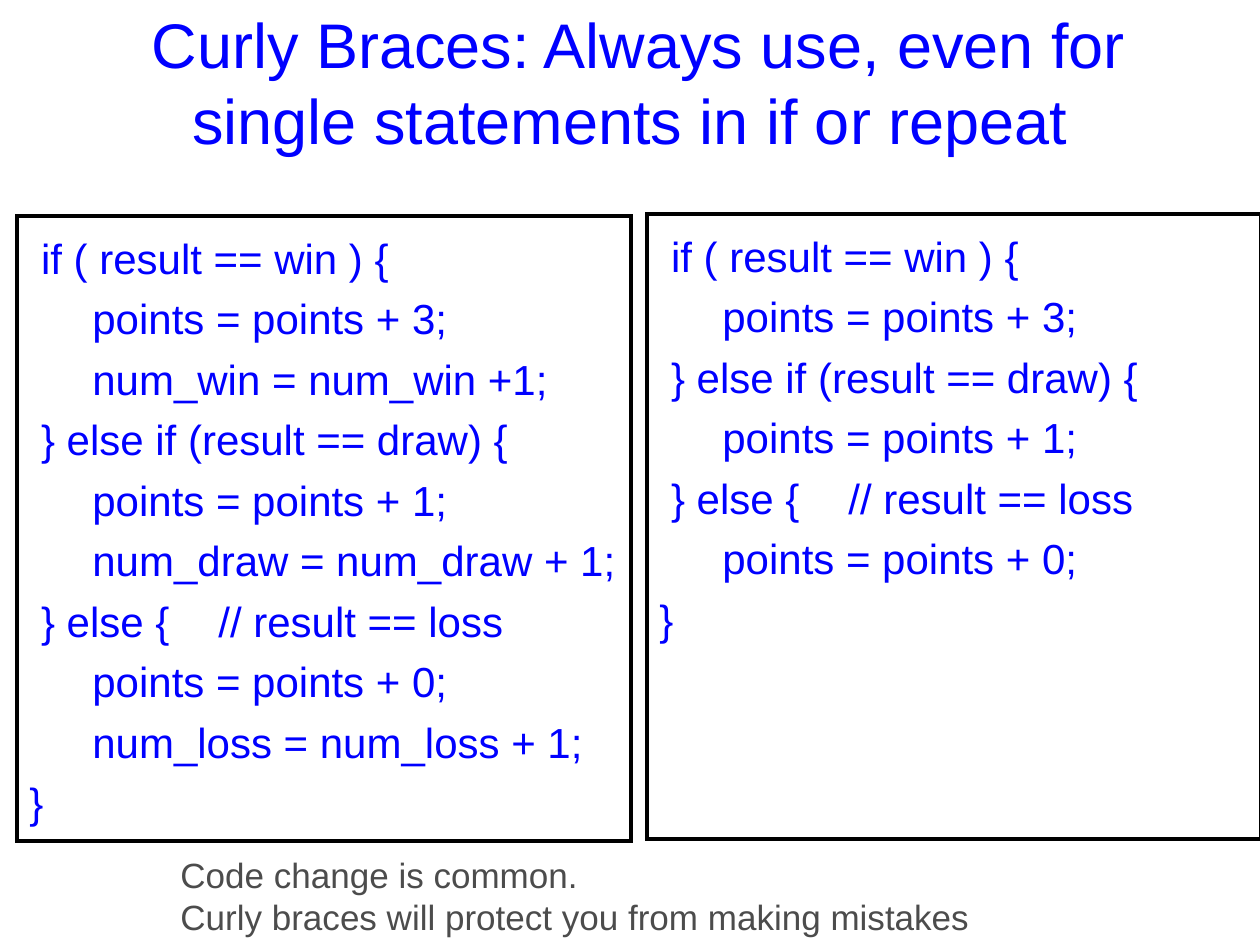
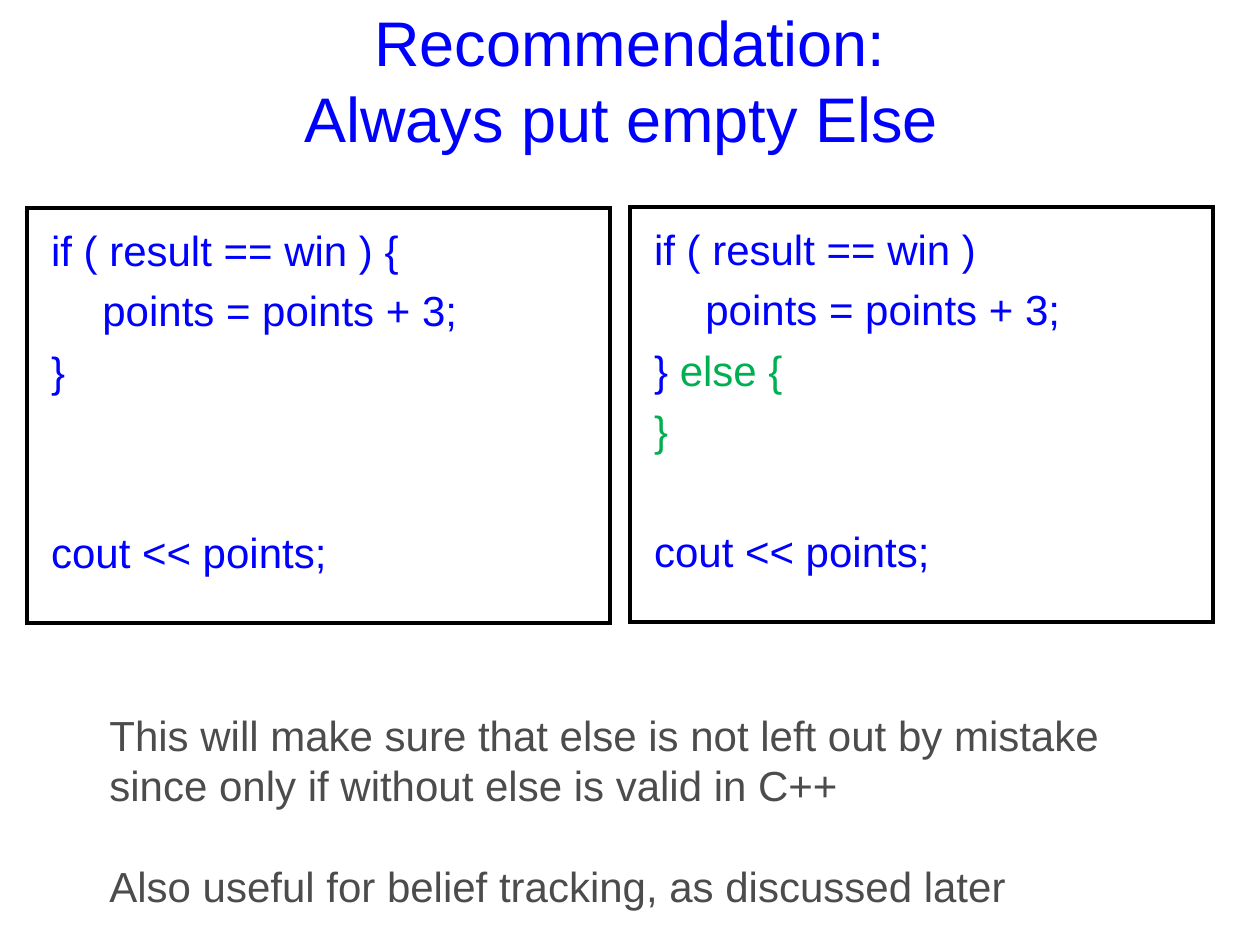
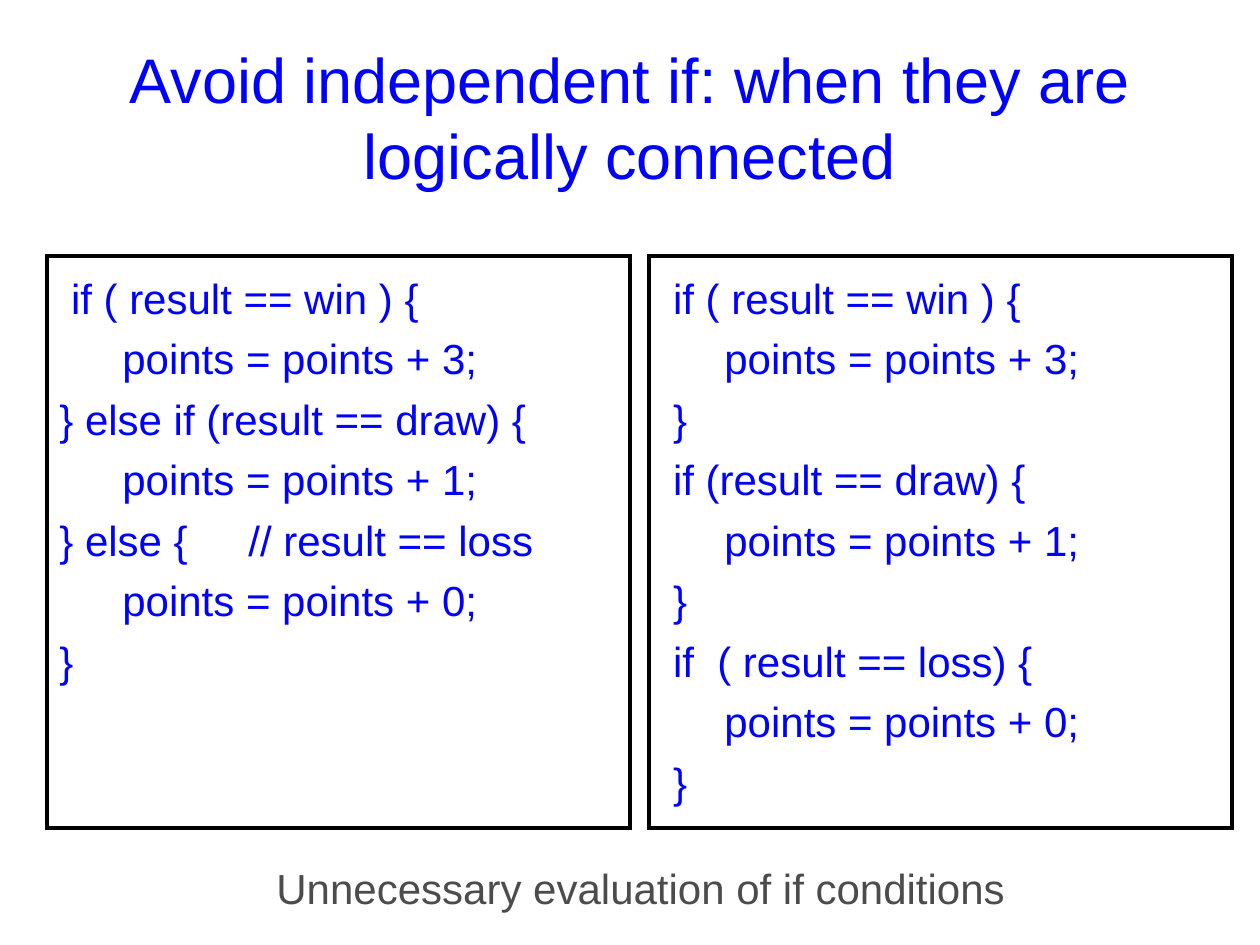
from lxml import etree
from pptx import Presentation
from pptx import util as u
from pptx.dml.color import RGBColor
from pptx.enum import shapes, text
from pptx.oxml import ns

PX_PER_INCH = 126
FONT = "Arial"
BLUE = RGBColor(0x00, 0x00, 0xFF)
GREEN = RGBColor(0x00, 0xB0, 0x50)
GREY = RGBColor(0x4C, 0x4C, 0x4C)
BLACK = RGBColor(0x00, 0x00, 0x00)

TITLE_SIZE = 36
CODE_SIZE = 24
CODE_SPACING = 1.2
LINE_RATIO = 1.2  # height of a single-spaced line over its font size
TAB_COUNT = 7

WIN = [" if ( result == win ) {", "\tpoints = points + 3;"]
DRAW = "\tpoints = points + 1;"
LOSS = "\tpoints = points + 0;"


def px(length):
    return u.Emu(round(length * 914400 / PX_PER_INCH))


def place(*lengths):
    return [px(length) for length in lengths]


def add_tabs(para):
    """Put a left tab stop at every half inch."""
    tabs = etree.SubElement(para._p.get_or_add_pPr(), ns.qn("a:tabLst"))
    for number in range(1, TAB_COUNT + 1):
        etree.SubElement(tabs, ns.qn("a:tab"),
                         pos=str(number * u.Inches(0.5)), algn="l")


def write_lines(frame, lines, size, color, spacing=1):
    """Write one paragraph per line; an empty line becomes space before the next.

    A line is a string, or a list of (words, color) spans.
    """
    gap = 0
    started = False
    for line in lines:
        if not line:
            gap += size * LINE_RATIO * spacing
            continue
        para = frame.add_paragraph() if started else frame.paragraphs[0]
        started = True
        para.alignment = text.PP_ALIGN.LEFT
        para.line_spacing = float(spacing)
        if gap:
            para.space_before = u.Pt(gap)
            gap = 0
        add_tabs(para)
        spans = [(line, color)] if isinstance(line, str) else line
        for words, span_color in spans:
            span = para.add_run()
            span.text = words
            style(span.font, size, span_color)


def style(font, size, color):
    font.name = FONT
    font.size = u.Pt(size)
    font.color.rgb = color


def add_title(page, words, top, height):
    box = page.shapes.add_textbox(*place(63, top, 1134, height))
    frame = box.text_frame
    frame.word_wrap = True
    frame.vertical_anchor = text.MSO_ANCHOR.MIDDLE
    frame.text = words
    para = frame.paragraphs[0]
    para.alignment = text.PP_ALIGN.CENTER
    for span in para.runs:
        style(span.font, TITLE_SIZE, BLUE)


def add_code(page, left, top, size, lines):
    box = page.shapes.add_shape(shapes.MSO_SHAPE.RECTANGLE,
                                *place(left, top, *size))
    box.shadow.inherit = False
    box.fill.background()
    box.line.color.rgb = BLACK
    box.line.width = u.Pt(2.25)
    etree.SubElement(box.line._get_or_add_ln(), ns.qn("a:miter"), lim="800000")
    frame = box.text_frame
    frame.word_wrap = True
    frame.vertical_anchor = text.MSO_ANCHOR.TOP
    write_lines(frame, lines, CODE_SIZE, BLUE, CODE_SPACING)


def add_note(page, left, top, width, height, lines, size=24):
    box = page.shapes.add_textbox(*place(left, top, width, height))
    frame = box.text_frame
    frame.word_wrap = True
    frame.auto_size = text.MSO_AUTO_SIZE.SHAPE_TO_FIT_TEXT
    write_lines(frame, lines, size, GREY)


def build_braces(page):
    add_title(page, " Curly Braces: Always use, even for single statements"
                    " in if or repeat", 2, 158)
    size = (614, 625)
    else_if = " } else if (result == draw) {"
    otherwise = " } else {\t// result == loss"
    add_code(page, 647, 214, size,
             [*WIN, else_if, DRAW, otherwise, LOSS, "}"])
    add_code(page, 17, 216, size,
             [*WIN, "\tnum_win = num_win +1;",
              else_if, DRAW, "\tnum_draw = num_draw + 1;",
              otherwise, LOSS, "\tnum_loss = num_loss + 1;", "}"])
    add_note(page, 168, 847, 824, 97,
             ["Code change is common.",
              "Curly braces will protect you from making mistakes"], 20)


def build_empty_else(page):
    add_title(page, " Recommendation: \vAlways put empty Else ", 38, 82)
    size = (583, 415)
    output = " cout << points;"
    add_code(page, 630, 207, size,
             [" if ( result == win )", WIN[1],
              [(" } ", BLUE), ("else {", GREEN)], [(" }", GREEN)],
              "", output])
    add_code(page, 27, 208, size, [*WIN, " }", "", "", output])
    add_note(page, 97, 703, 1027, 214,
             ["This will make sure that else is not left out by mistake",
              "since only if without else is valid in C++",
              "",
              "Also useful for belief tracking, as discussed later"])


def build_connected_ifs(page):
    add_title(page, "Avoid independent if: when they are logically connected",
              37, 158)
    size = (583, 572)
    add_code(page, 649, 256, size,
             [*WIN, " }", " if (result == draw) {", DRAW, " }",
              " if  ( result == loss) {", LOSS, " }"])
    add_code(page, 47, 256, size,
             [*WIN, "} else if (result == draw) {", DRAW,
              "} else {\t// result == loss", LOSS, "}"])
    add_note(page, 264, 856, 763, 63,
             ["Unnecessary evaluation of if conditions"])


def main():
    deck = Presentation()
    deck.slide_width, deck.slide_height = place(1260, 945)
    for build in (build_braces, build_empty_else, build_connected_ifs):
        build(deck.slides.add_slide(deck.slide_layouts[6]))
    deck.save("out.pptx")


if __name__ == "__main__":
    main()
